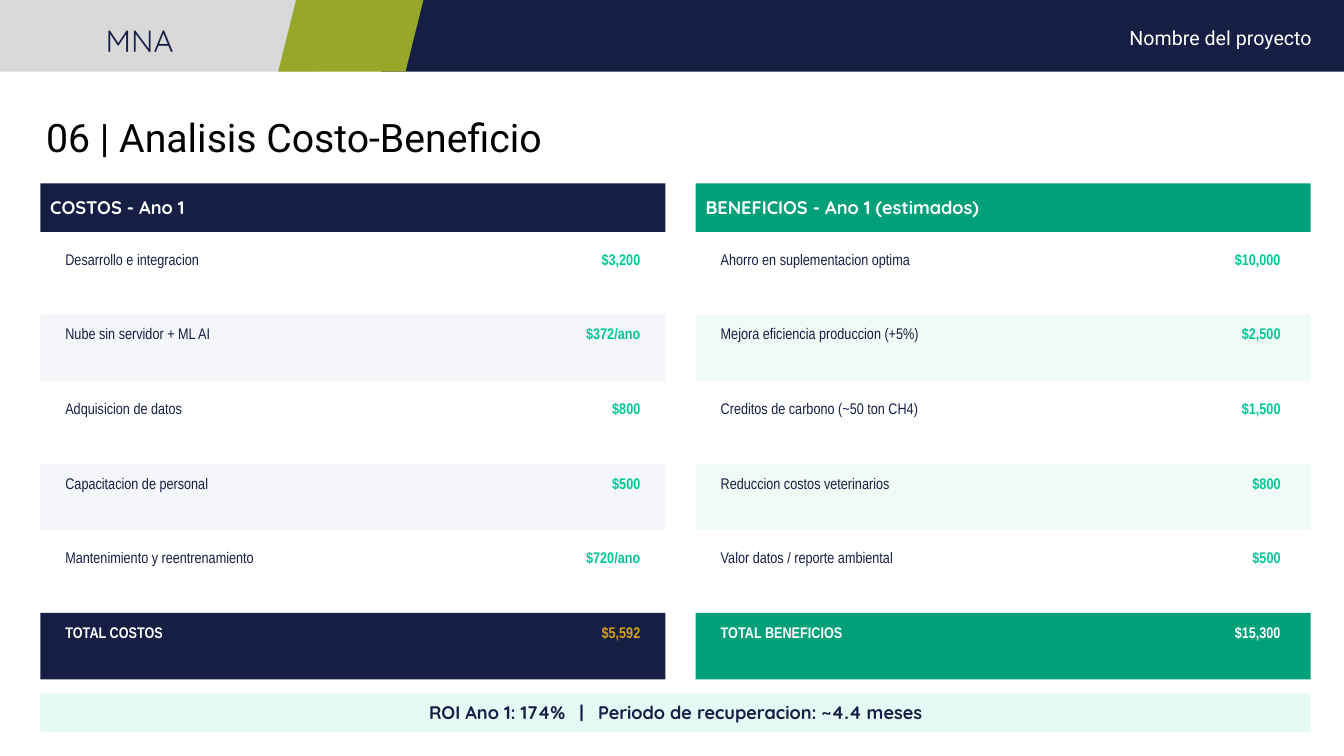
from pptx import Presentation
from pptx.dml.color import RGBColor
from pptx.enum import shapes, text
from pptx.util import Pt

PX = 9144  # EMU per px, 100 px to the inch

NAVY = RGBColor(0x16, 0x1E, 0x44)
GRAY = RGBColor(0xD9, 0xD9, 0xD9)
OLIVE = RGBColor(0x97, 0xA7, 0x2A)
GREEN = RGBColor(0x00, 0xA0, 0x7A)
MINT = RGBColor(0x00, 0xC8, 0x96)
GOLD = RGBColor(0xD4, 0xA0, 0x17)
PALE_BLUE = RGBColor(0xF4, 0xF6, 0xFA)
PALE_GREEN = RGBColor(0xF0, 0xFB, 0xF6)
PALE_MINT = RGBColor(0xE6, 0xFA, 0xF5)
WHITE = RGBColor(0xFF, 0xFF, 0xFF)
BLACK = RGBColor(0, 0, 0)

# Content
PROJECT = "Nombre del proyecto"
COURSE = "MNA"
TITLE = "06 | Analisis Costo-Beneficio"
COLUMNS = [
    dict(
        heading="COSTOS - Ano 1",
        rows=[
            ("Desarrollo e integracion", "$3,200"),
            ("Nube sin servidor + ML AI", "$372/ano"),
            ("Adquisicion de datos", "$800"),
            ("Capacitacion de personal", "$500"),
            ("Mantenimiento y reentrenamiento", "$720/ano"),
        ],
        total=("TOTAL COSTOS", "$5,592"),
        left=40, width=620, label_width=450, value_margin=15,
        main=NAVY, stripe=PALE_BLUE, total_color=GOLD,
    ),
    dict(
        heading="BENEFICIOS - Ano 1 (estimados)",
        rows=[
            ("Ahorro en suplementacion optima", "$10,000"),
            ("Mejora eficiencia produccion (+5%)", "$2,500"),
            ("Creditos de carbono (~50 ton CH4)", "$1,500"),
            ("Reduccion costos veterinarios", "$800"),
            ("Valor datos / reporte ambiental", "$500"),
        ],
        total=("TOTAL BENEFICIOS", "$15,300"),
        left=690, width=610, label_width=420, value_margin=20,
        main=GREEN, stripe=PALE_GREEN, total_color=WHITE,
    ),
]
SUMMARY = ["ROI Ano 1: 174%", " |", " Periodo de recuperacion: ~4.4 meses"]
SEPARATOR_SPACING = 650  # hundredths of a point around the bar

# Layout
HEADING_TOP, HEADING_H = 182, 48
ROW_TOP, ROW_H, ROW_STEP = 238, 66, 74
CELL_PAD_X, CELL_PAD_Y, VALUE_W = 15, 5, 160

prs = Presentation()
prs.slide_width, prs.slide_height = 1333 * PX, 750 * PX
slide = prs.slides.add_slide(prs.slide_layouts[6])


def box(x, y, w, h, fill, kind=shapes.MSO_SHAPE.RECTANGLE):
    sp = slide.shapes.add_shape(kind, x * PX, y * PX, w * PX, h * PX)
    sp.shadow.inherit = False
    sp.fill.solid()
    sp.fill.fore_color.rgb = fill
    sp.line.fill.background()
    return sp


def area(x, y, w, h):
    return slide.shapes.add_textbox(x * PX, y * PX, w * PX, h * PX)


def write(sp, words, size=11, font="Arial Narrow", color=NAVY, bold=False,
          align=text.PP_ALIGN.LEFT, anchor=text.MSO_ANCHOR.TOP,
          spacing=None, fit=text.MSO_AUTO_SIZE.NONE):
    tf = sp.text_frame
    tf.word_wrap = True
    tf.auto_size = fit
    tf.vertical_anchor = anchor
    p = tf.paragraphs[0]
    p.alignment = align
    p.line_spacing = spacing
    for part in [words] if isinstance(words, str) else words:
        r = p.add_run()
        r.text = part
        r.font.size, r.font.name, r.font.bold = Pt(size), font, bold
        r.font.color.rgb = color
    return tf


RIGHT, CENTER = text.PP_ALIGN.RIGHT, text.PP_ALIGN.CENTER
MIDDLE, BOTTOM = text.MSO_ANCHOR.MIDDLE, text.MSO_ANCHOR.BOTTOM
GROW = text.MSO_AUTO_SIZE.SHAPE_TO_FIT_TEXT

# Top band
box(378, 0, 955, 71, NAVY)
box(0, 0, 315, 71, GRAY)
slant = box(276, 0, 144, 71, OLIVE, shapes.MSO_SHAPE.PARALLELOGRAM)
slant.adjustments[0] = 0.25
tf = write(area(381, 12, 930, 67), PROJECT, size=14, font="Roboto",
           color=WHITE, align=RIGHT, spacing=1.15)
tf.margin_top = tf.margin_bottom = 10 * PX
write(area(67, 11, 143, 52), COURSE, size=22, font="Quicksand",
      align=CENTER, spacing=1.15)

# Title
tf = write(area(36, 62, 762, 102), TITLE, size=28, font="Roboto",
           color=BLACK, anchor=BOTTOM)
tf.paragraphs[0].space_after = Pt(12)

# Cost and benefit columns
for col in COLUMNS:
    left, width = col["left"], col["width"]
    write(box(left, HEADING_TOP, width, HEADING_H, col["main"]), col["heading"],
          size=13, font="Quicksand", color=WHITE, bold=True, anchor=MIDDLE)
    value_left = left + width - col["value_margin"] - VALUE_W
    for i, (label, value) in enumerate(col["rows"] + [col["total"]]):
        is_total = i == len(col["rows"])
        y = ROW_TOP + i * ROW_STEP
        fill = col["main"] if is_total else (WHITE, col["stripe"])[i % 2]
        box(left, y, width, ROW_H, fill)
        cell_y, cell_h = y + CELL_PAD_Y, ROW_H - 2 * CELL_PAD_Y
        write(area(left + CELL_PAD_X, cell_y, col["label_width"], cell_h), label,
              color=WHITE if is_total else NAVY, bold=is_total, fit=GROW)
        write(area(value_left, cell_y, VALUE_W, cell_h), value,
              color=col["total_color"] if is_total else MINT,
              bold=True, align=RIGHT, fit=GROW)

# Summary bar
tf = write(box(40, 688, 1260, 38, PALE_MINT), SUMMARY, size=13,
           font="Quicksand", bold=True, align=CENTER, anchor=MIDDLE)
separator = tf.paragraphs[0].runs[1]
separator._r.get_or_add_rPr().set("spc", str(SEPARATOR_SPACING))

prs.save("out.pptx")
